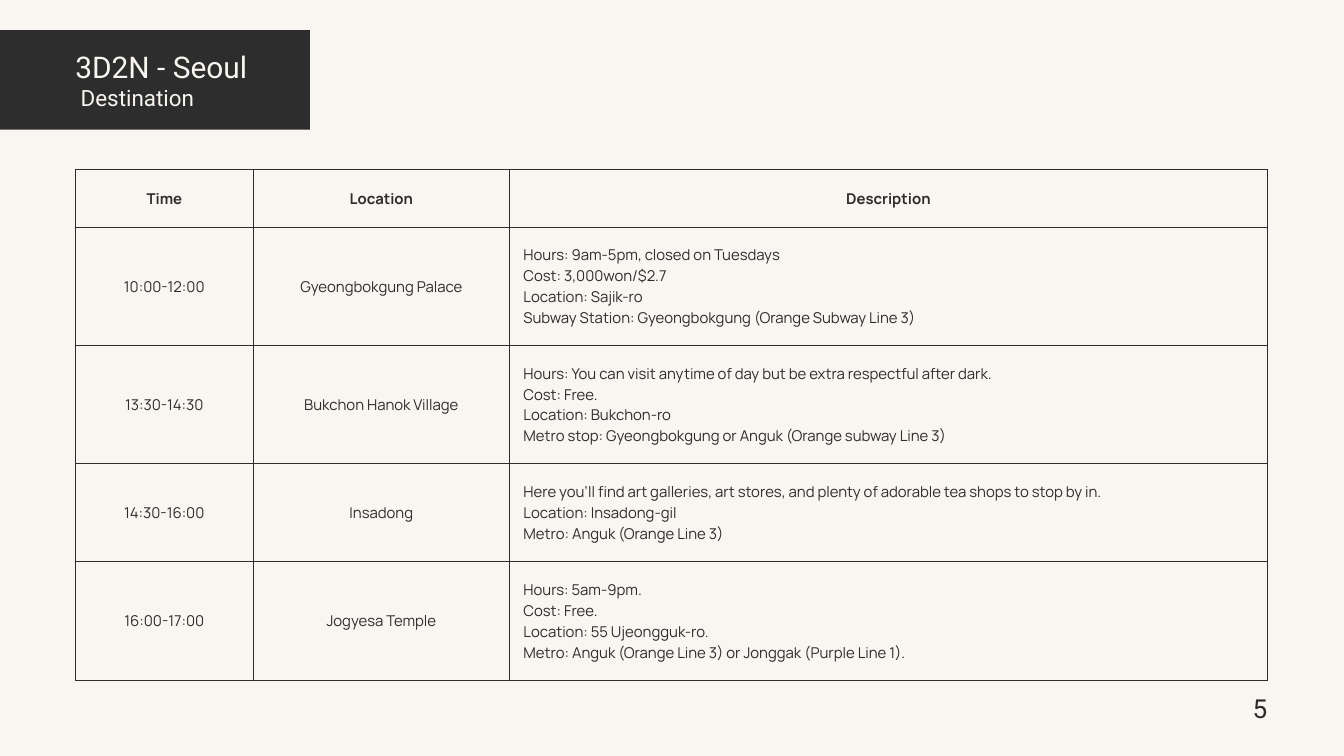
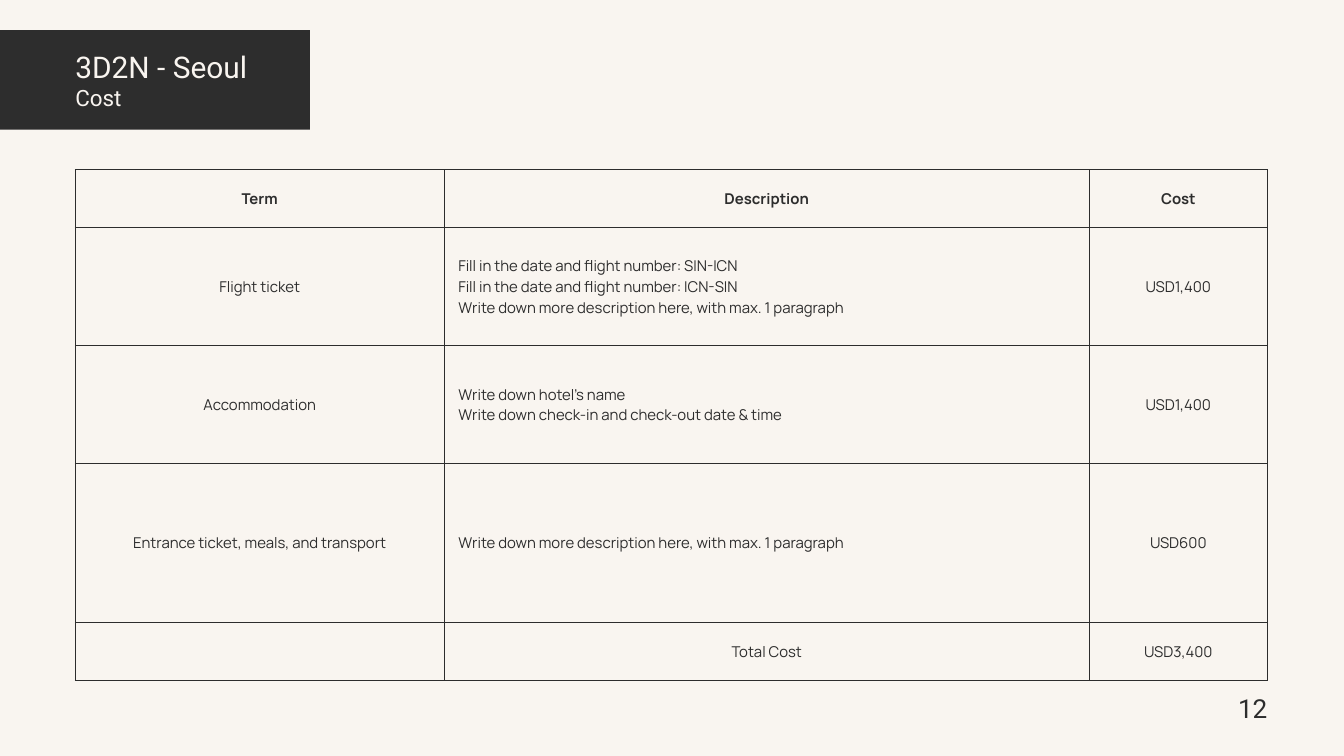
import dataclasses

import lxml.etree
import pptx
import pptx.dml.color
import pptx.enum.shapes
import pptx.enum.text
import pptx.oxml.ns
import pptx.util

ALIGN = pptx.enum.text.PP_ALIGN
ANCHOR = pptx.enum.text.MSO_ANCHOR

SLIDES = [
    {
        "title": "3D2N - Seoul",
        "subtitle": "Destination",
        "subtitle_indent": 8,
        "page": "5",
        "columns": [265, 381, 1128],
        "rows": [86, 176, 176, 146, 176],
        "cells": [
            ["Time", "Location", "Description"],
            ["10:00-12:00", "Gyeongbokgung Palace", [
                "Hours: 9am-5pm, closed on Tuesdays",
                "Cost: 3,000won/$2.7",
                "Location: Sajik-ro",
                "Subway Station: Gyeongbokgung (Orange Subway Line 3)"]],
            ["13:30-14:30", "Bukchon Hanok Village", [
                "Hours: You can visit anytime of day but be extra respectful after dark.",
                "Cost: Free.",
                "Location: Bukchon-ro",
                "Metro stop: Gyeongbokgung or Anguk (Orange subway Line 3)"]],
            ["14:30-16:00", "Insadong", [
                "Here you’ll find art galleries, art stores, and plenty of adorable tea shops to stop by in.",
                "Location: Insadong-gil",
                "Metro: Anguk (Orange Line 3)"]],
            ["16:00-17:00", "Jogyesa Temple", [
                "Hours: 5am-9pm.",
                "Cost: Free.",
                "Location: 55 Ujeongguk-ro.",
                "Metro: Anguk (Orange Line 3) or Jonggak (Purple Line 1)."]],
        ],
    },
    {
        "title": "3D2N - Seoul",
        "subtitle": "Cost",
        "subtitle_indent": 0,
        "page": "12",
        "columns": [549, 960, 265],
        "rows": [86, 176, 176, 236, 86],
        "cells": [
            ["Term", "Description", "Cost"],
            ["Flight ticket", [
                "Fill in the date and flight number: SIN-ICN",
                "Fill in the date and flight number: ICN-SIN",
                "Write down more description here, with max. 1 paragraph"], "USD1,400"],
            ["Accommodation", [
                "Write down hotel's name",
                "Write down check-in and check-out date & time"], "USD1,400"],
            ["Entrance ticket, meals, and transport", [
                "Write down more description here, with max. 1 paragraph"], "USD600"],
            ["", "Total Cost", "USD3,400"],
        ],
    },
]


@dataclasses.dataclass(frozen=True)
class Theme:
    paper: str = "F9F5F0"
    ink: str = "2D2D2D"
    heading_font: str = "Roboto"
    table_font: str = "Manrope"
    title_size: int = 32
    page_size: int = 28
    subtitle_size: int = 24
    table_size: int = 16
    line_height: float = 1.4
    border_width: float = 0.75


THEME = Theme()
PX_PER_INCH = 100
SLIDE_SIZE = (2000, 1125)
BAND = (0, 45, 461, 148)
TITLE = (112, 64, 298, 61)
SUBTITLE = (112, 118, 418, 46)
PAGE = (1411, 1022, 475, 55)
TABLE_LEFT, TABLE_TOP = 112, 252
CELL_MARGIN = 21


def px(length):
    return pptx.util.Emu(length * 914400 // PX_PER_INCH)


def rgb(value):
    return pptx.dml.color.RGBColor.from_string(value)


def write_text(frame, text, *, size, color, font=THEME.heading_font,
               bold=False, align=ALIGN.LEFT):
    lines = text if isinstance(text, list) else [text]
    for index, line in enumerate(lines):
        paragraph = frame.add_paragraph() if index else frame.paragraphs[0]
        paragraph.text = line
        paragraph.alignment = align
        paragraph.line_spacing = pptx.util.Pt(round(size * THEME.line_height, 1))
        paragraph.font.size = pptx.util.Pt(size)
        paragraph.font.name = font
        paragraph.font.bold = bold
        paragraph.font.color.rgb = rgb(color)


def place_text(shape, box, text, *, indent=0, **text_format):
    shape.left, shape.top, shape.width, shape.height = map(px, box)
    frame = shape.text_frame
    frame.margin_left = px(indent)
    frame.margin_right = frame.margin_top = frame.margin_bottom = 0
    frame.word_wrap = True
    frame.auto_size = pptx.enum.text.MSO_AUTO_SIZE.NONE
    frame.vertical_anchor = ANCHOR.TOP
    write_text(frame, text, **text_format)


def add_text(slide, box, text, **text_format):
    place_text(slide.shapes.add_textbox(*map(px, box)), box, text, **text_format)


def add_band(slide):
    band = slide.shapes.add_shape(
        pptx.enum.shapes.MSO_SHAPE.RECTANGLE, *map(px, BAND))
    band.shadow.inherit = False
    band.fill.solid()
    band.fill.fore_color.rgb = rgb(THEME.ink)
    band.line.fill.background()
    slide.shapes.title.element.addprevious(band.element)


def add_borders(cell):
    qn = pptx.oxml.ns.qn
    properties = cell._tc.get_or_add_tcPr()
    for index, side in enumerate(("lnL", "lnR", "lnT", "lnB")):
        line = lxml.etree.Element(
            qn(f"a:{side}"), w=str(pptx.util.Pt(THEME.border_width)))
        fill = lxml.etree.SubElement(line, qn("a:solidFill"))
        lxml.etree.SubElement(fill, qn("a:srgbClr"), val=THEME.ink)
        properties.insert(index, line)


def add_table(slide, columns, rows, cells):
    table = slide.shapes.add_table(
        len(rows), len(columns), px(TABLE_LEFT), px(TABLE_TOP),
        px(sum(columns)), px(sum(rows))).table
    table.first_row = table.horz_banding = False
    for column, width in zip(table.columns, columns):
        column.width = px(width)
    for row_index, (row, height) in enumerate(zip(table.rows, rows)):
        row.height = px(height)
        for cell, content in zip(row.cells, cells[row_index]):
            cell.fill.background()
            cell.vertical_anchor = ANCHOR.MIDDLE
            cell.margin_left = cell.margin_right = px(CELL_MARGIN)
            cell.margin_top = cell.margin_bottom = px(CELL_MARGIN)
            write_text(cell.text_frame, content, size=THEME.table_size,
                       color=THEME.ink, font=THEME.table_font, bold=row_index == 0,
                       align=ALIGN.LEFT if isinstance(content, list) else ALIGN.CENTER)
            add_borders(cell)


def add_slide(presentation, content):
    slide = presentation.slides.add_slide(
        presentation.slide_layouts.get_by_name("Title Only"))
    add_band(slide)
    place_text(slide.shapes.title, TITLE, content["title"],
               size=THEME.title_size, color=THEME.paper)
    add_text(slide, SUBTITLE, content["subtitle"], indent=content["subtitle_indent"],
             size=THEME.subtitle_size, color=THEME.paper)
    add_table(slide, content["columns"], content["rows"], content["cells"])
    add_text(slide, PAGE, content["page"], size=THEME.page_size,
             color=THEME.ink, align=ALIGN.RIGHT)


def main():
    presentation = pptx.Presentation()
    presentation.slide_width, presentation.slide_height = map(px, SLIDE_SIZE)
    background = presentation.slide_master.background.fill
    background.solid()
    background.fore_color.rgb = rgb(THEME.paper)
    for content in SLIDES:
        add_slide(presentation, content)
    presentation.save("out.pptx")


if __name__ == "__main__":
    main()
